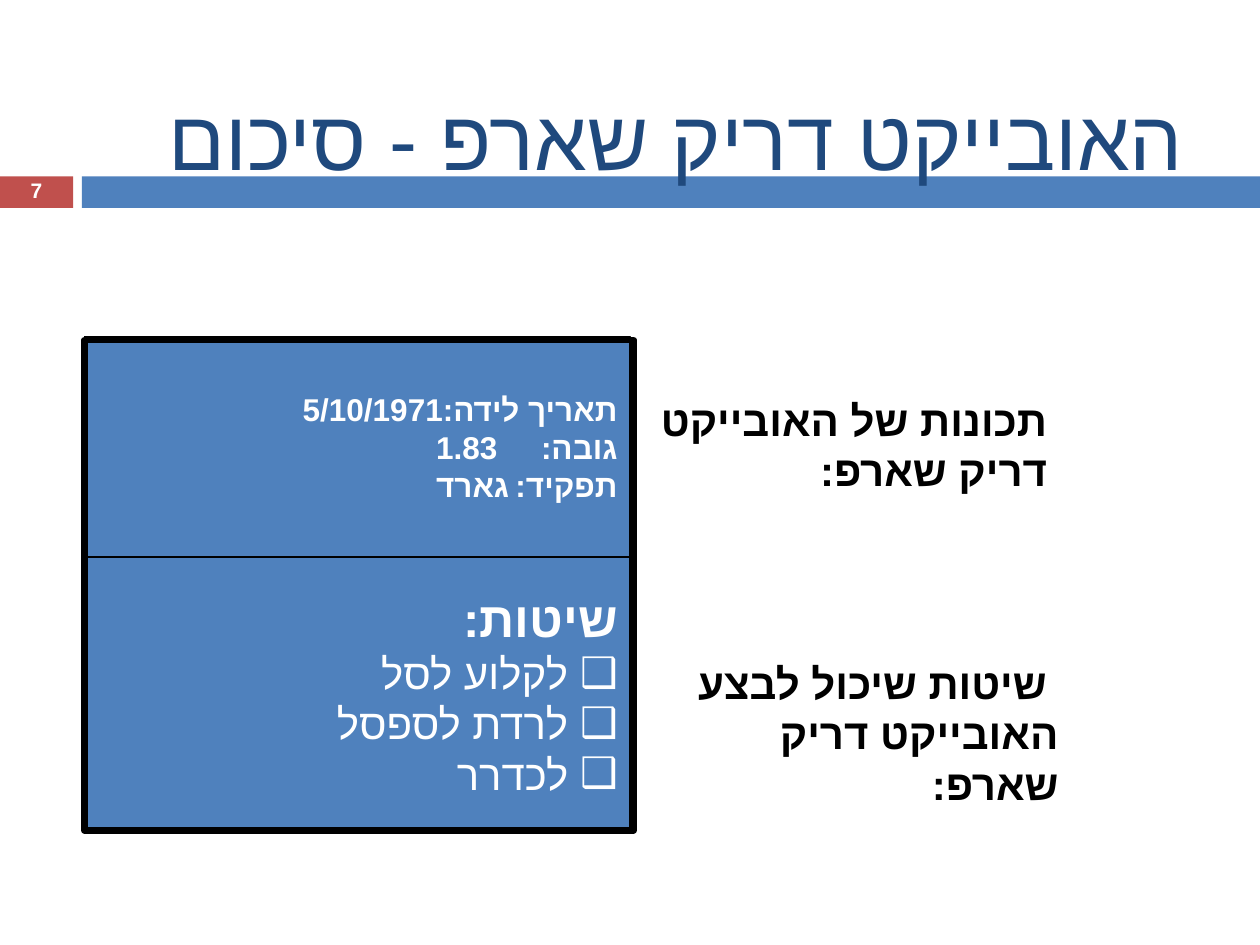
from dataclasses import dataclass
from typing import Optional

from lxml.etree import SubElement
from pptx import Presentation
from pptx.dml.color import RGBColor
from pptx.enum.shapes import MSO_SHAPE as Preset
from pptx.enum.text import MSO_ANCHOR as Anchor, PP_ALIGN as Align
from pptx.oxml.ns import qn
from pptx.util import Inches, Pt

FONT = "Arial"
WHITE = RGBColor(0xFF, 0xFF, 0xFF)
BLACK = RGBColor(0x00, 0x00, 0x00)
BLUE = RGBColor(0x4F, 0x81, 0xBD)
RED = RGBColor(0xC0, 0x50, 0x4D)
NAVY = RGBColor(0x1F, 0x49, 0x7D)


@dataclass
class Box:
    left: float
    top: float
    width: float
    height: float

    def lengths(self) -> tuple:
        return tuple(map(Inches, (self.left, self.top, self.width, self.height)))


@dataclass
class Line:
    text: str
    size: float = 24
    bold: bool = True
    bullet: Optional[str] = None
    tab: Optional[float] = None


def write_text(shape, lines: list, *, color: RGBColor, align=Align.RIGHT,
               rtl: bool = True, anchor=Anchor.MIDDLE, spacing: float = 1.0) -> None:
    frame = shape.text_frame
    frame.word_wrap = True
    frame.vertical_anchor = anchor
    for index, line in enumerate(lines):
        paragraph = frame.paragraphs[0] if index == 0 else frame.add_paragraph()
        paragraph.alignment = align
        paragraph.line_spacing = spacing
        properties = paragraph._p.get_or_add_pPr()
        properties.set("rtl", "1" if rtl else "0")
        if line.bullet:
            SubElement(properties, qn("a:buFont"), typeface=FONT)
            SubElement(properties, qn("a:buChar"), char=line.bullet)
        if line.tab:
            tabs = SubElement(properties, qn("a:tabLst"))
            SubElement(tabs, qn("a:tab"), pos=str(Inches(line.tab)), algn="l")
        run = paragraph.add_run()
        run.text = line.text
        run.font.size = Pt(line.size)
        run.font.bold = line.bold
        run.font.color.rgb = color
        run.font.name = FONT
        # Hebrew letters take the complex-script font
        SubElement(run._r.get_or_add_rPr(), qn("a:cs"), typeface=FONT)


def add_rectangle(slide, box: Box, *, fill: Optional[RGBColor] = None,
                  line_width: float = 0):
    shape = slide.shapes.add_shape(Preset.RECTANGLE, *box.lengths())
    shape.shadow.inherit = False
    if fill is None:
        shape.fill.background()
    else:
        shape.fill.solid()
        shape.fill.fore_color.rgb = fill
    if line_width:
        shape.line.color.rgb = BLACK
        shape.line.width = Pt(line_width)
    else:
        shape.line.fill.background()
    return shape


def add_text(slide, box: Box, lines: list, **text_format):
    shape = slide.shapes.add_textbox(*box.lengths())
    write_text(shape, lines, **text_format)
    return shape


def main() -> None:
    presentation = Presentation()
    presentation.slide_width = Inches(10)
    presentation.slide_height = Inches(7.5)
    slide = presentation.slides.add_slide(presentation.slide_layouts[5])

    # Title, in front of the header bars
    title = slide.shapes.title
    title.left, title.top, title.width, title.height = Box(0.5, 0.46, 9, 1.25).lengths()
    write_text(title, [Line("האובייקט דריק שארפ - סיכום", 48, False)], color=NAVY)
    for box, fill in ((Box(0, 1.4, 0.58, 0.25), RED), (Box(0.65, 1.4, 9.35, 0.25), BLUE)):
        title.element.addprevious(add_rectangle(slide, box, fill=fill).element)

    # Slide number
    add_text(slide, Box(0, 1.39, 0.58, 0.27), [Line("7", 12)], color=WHITE,
             align=Align.CENTER, rtl=False, spacing=0.8)

    # Captions beside the object card
    captions = (
        (Box(4.83, 3.08, 3.58, 0.9), ["תכונות של האובייקט", "דריק שארפ:"]),
        (Box(5.17, 5.17, 3.33, 0.9), [" שיטות שיכול לבצע", "האובייקט דריק שארפ:"]),
    )
    for box, texts in captions:
        add_text(slide, box, [Line(text) for text in texts], color=BLACK,
                 anchor=Anchor.TOP)

    # Object card: properties above, methods below
    properties = [
        Line("תאריך לידה:\t5/10/1971", 18, tab=1.59),
        Line("גובה:\t1.83", 18, tab=1.44),
        Line("תפקיד:\tגארד", 18, tab=1.44),
    ]
    methods = [Line("שיטות:", 28)] + [
        Line(f" {name}", bold=False, bullet="❑")
        for name in ("לקלוע לסל", "לרדת לספסל", "לכדרר")
    ]
    for box, lines in ((Box(0.67, 2.67, 4.33, 1.75), properties),
                       (Box(0.67, 4.42, 4.33, 2.17), methods)):
        section = add_rectangle(slide, box, fill=BLUE, line_width=0.75)
        write_text(section, lines, color=WHITE)
    add_rectangle(slide, Box(0.67, 2.7, 4.36, 3.89), line_width=3.75)

    presentation.save("out.pptx")


if __name__ == "__main__":
    main()
